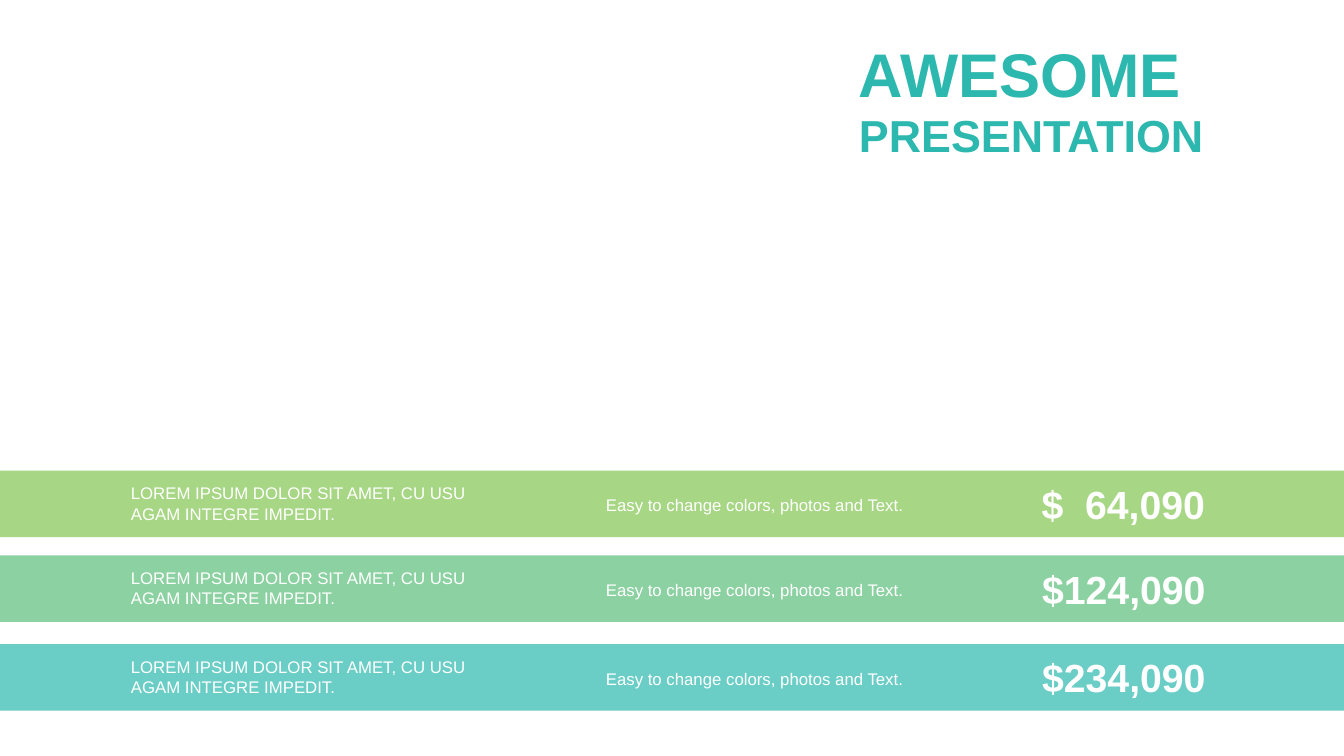
from lxml import etree
from pptx import Presentation
from pptx.dml.color import RGBColor
from pptx.enum.shapes import MSO_SHAPE
from pptx.enum.text import MSO_ANCHOR, PP_ALIGN
from pptx.oxml.ns import qn
from pptx.util import Inches, Pt

RECT = MSO_SHAPE.RECTANGLE
TOP, MID = MSO_ANCHOR.TOP, MSO_ANCHOR.MIDDLE
LEFT, CENTER, JUST = PP_ALIGN.LEFT, PP_ALIGN.CENTER, PP_ALIGN.JUSTIFY
FONT = "Arial"
WHITE, TEAL = "FFFFFF", "2CB8AE"
WIDE, HIGH = Inches(13.33), Inches(7.5)
LEAD = "LOREM IPSUM DOLOR SIT AMET, CU USU AGAM INTEGRE IMPEDIT."
NOTE = "Easy to change colors, photos and Text."
ROWS = [
    (0.6227, "82C650", "$\t64,090"),
    (0.7347, "5CBE7A", "$124,090"),
    (0.852, TEAL, "$234,090"),
]


def paint(color, code):
    color.rgb = RGBColor.from_string(code)


def part(box, x, y, w, h):
    left, top, wide, high = box
    return (int(left + x * wide), int(top + y * high),
            int(w * wide), int(h * high))


def add_text(slide, box, text, size=12, color=WHITE, bold=False,
             align=LEFT, anchor=TOP, space=1.0, inset=0.1, tab=None):
    frame = slide.shapes.add_textbox(*box).text_frame
    frame.word_wrap = True
    frame.vertical_anchor = anchor
    frame.margin_left = Inches(inset)
    para = frame.paragraphs[0]
    para.alignment = align
    para.line_spacing = space
    if tab:
        stops = etree.SubElement(para._p.get_or_add_pPr(), qn("a:tabLst"))
        etree.SubElement(stops, qn("a:tab"), pos=str(Inches(tab)), algn="r")
    run = para.add_run()
    run.text = text
    font = run.font
    font.name, font.size, font.bold = FONT, Pt(size), bold
    paint(font.color, color)


def add_title(slide, box):
    look = dict(color=TEAL, bold=True, align=JUST, anchor=MID)
    add_text(slide, part(box, 0, 0, 1, 0.62), "AWESOME", size=44, **look)
    add_text(slide, part(box, 0, 0.53, 1, 0.47), "PRESENTATION",
             size=32, **look)


def add_row(slide, box, color, price):
    bar = slide.shapes.add_shape(RECT, *box)
    bar.shadow.inherit = False
    bar.line.fill.background()
    bar.fill.solid()
    paint(bar.fill.fore_color, color)
    tint = bar.fill._xPr.find(qn("a:solidFill"))[0]
    etree.SubElement(tint, qn("a:alpha"), val="70000")

    add_text(slide, part(box, 0.09, 0.11, 0.303, 0.76), LEAD, anchor=MID)
    add_text(slide, part(box, 0.4434, 0.26, 0.278, 0.47), NOTE, space=1.1)
    look = dict(align=CENTER)
    if "\t" in price:
        look = dict(inset=0.15, tab=1.62)
    add_text(slide, part(box, 0.7637, 0.07, 0.1448, 0.86), price,
             size=28, bold=True, **look)


def main():
    deck = Presentation()
    deck.slide_width, deck.slide_height = WIDE, HIGH
    slide = deck.slides.add_slide(deck.slide_layouts[6])
    page = (0, 0, WIDE, HIGH)
    for top, color, price in ROWS:
        add_row(slide, part(page, 0, top, 1, 0.088), color, price)
    add_title(slide, part(page, 0.6317, 0.04, 0.32, 0.18))
    deck.save("out.pptx")


if __name__ == "__main__":
    main()
